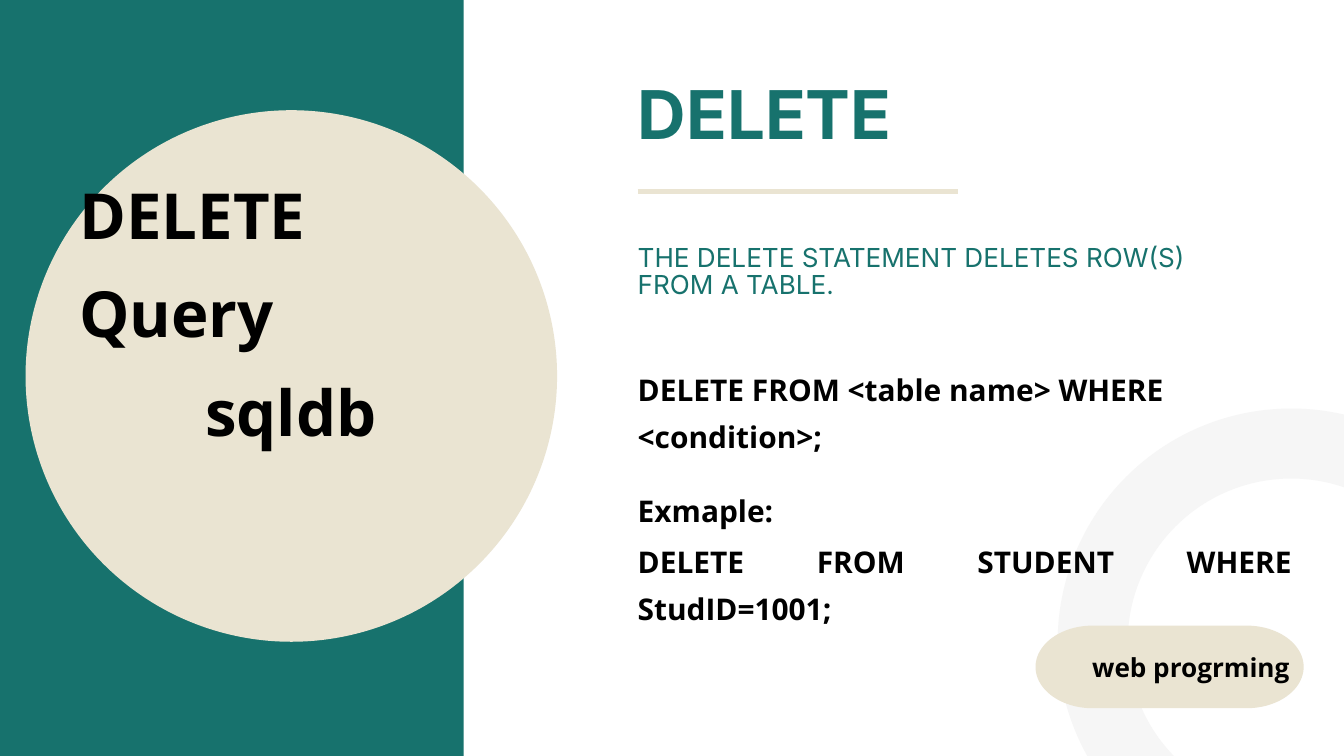
"""Build a slide that explains the DELETE statement."""
import math
from dataclasses import dataclass
from typing import Optional

from lxml import etree
from pptx import Presentation
from pptx.dml.color import RGBColor
from pptx.enum import shapes, text
from pptx.oxml import ns
from pptx.util import Inches, Pt


@dataclass(frozen=True)
class Theme:
    """Colours, fonts and type sizes of the slide."""
    teal: str = "17726D"
    sand: str = "EAE4D2"
    mist: str = "F6F6F6"
    black: str = "000000"
    display: str = "Inter"
    body: str = "Open Sans"
    title: int = 72
    hero: int = 68
    code: int = 32
    note: int = 28


THEME = Theme()
COLUMN = 9.49


@dataclass(frozen=True)
class Frame:
    """Left, top, width and height in inches."""
    left: float
    top: float
    width: float
    height: float

    def lengths(self) -> tuple:
        """Return the four measures as lengths."""
        return tuple(Inches(n) for n in (self.left, self.top, self.width, self.height))


@dataclass(frozen=True)
class Style:
    """Look of a block of text."""
    size: int
    leading: float
    font: str = THEME.body
    colour: str = THEME.black
    bold: bool = True


@dataclass(frozen=True)
class Block:
    """Lines of text in a frame, with one alignment for each line."""
    frame: Frame
    words: str
    style: Style
    aligns: tuple = (text.PP_ALIGN.LEFT,)
    inset: float = 0
    anchor: text.MSO_ANCHOR = text.MSO_ANCHOR.TOP


LEFT, CENTER, JUSTIFY = text.PP_ALIGN.LEFT, text.PP_ALIGN.CENTER, text.PP_ALIGN.JUSTIFY
CODE = Style(THEME.code, 49.6)
TITLE = Block(Frame(COLUMN, 1.23, 8.93, 1.11), "DELETE",
              Style(THEME.title, 75.6, THEME.display, THEME.teal))
SUMMARY = Block(Frame(COLUMN, 3.65, 8.93, 1.25),
                "THE DELETE STATEMENT DELETES ROW(S) FROM A TABLE.",
                Style(THEME.note, 29.4, THEME.display, THEME.teal, False))
HERO = Block(Frame(1.12, 0.16, 6.42, 8.65), "DELETE Query\nsqldb",
             Style(THEME.hero, 105.4), (LEFT, CENTER), 0.06, text.MSO_ANCHOR.MIDDLE)
BLOCKS = (
    Block(Frame(14.89, 9.56, 5.66, 0.56), "web progrming", Style(THEME.note, 43.4), (CENTER,)),
    HERO,
    Block(Frame(COLUMN, 5.38, 8.23, 1.33), "DELETE FROM <table name> WHERE <condition>;", CODE),
    Block(Frame(COLUMN, 7.17, 9.74, 0.65), "Exmaple:", CODE, (JUSTIFY,)),
    Block(Frame(COLUMN, 7.94, 9.74, 0.65), "DELETE FROM STUDENT WHERE StudID=1001;",
          CODE, (JUSTIFY,)),
)


def write(box, block: Block) -> None:
    """Place a text shape and fill it with formatted lines."""
    box.left, box.top, box.width, box.height = block.frame.lengths()
    frame, style = box.text_frame, block.style
    frame.text = block.words
    frame.word_wrap = True
    frame.auto_size = text.MSO_AUTO_SIZE.NONE
    frame.vertical_anchor = block.anchor
    frame.margin_left = frame.margin_right = Inches(block.inset)
    frame.margin_top = frame.margin_bottom = Inches(block.inset)
    for para, align in zip(frame.paragraphs, block.aligns):
        para.alignment = align
        para.line_spacing = Pt(style.leading)
        para.space_before = Pt(0)
        for span in para.runs:
            span.font.size = Pt(style.size)
            span.font.name = style.font
            span.font.bold = style.bold
            span.font.color.rgb = RGBColor.from_string(style.colour)


def remove_bullets(box) -> None:
    """Turn off bullets and hanging indents."""
    for para in box.text_frame.paragraphs:
        props = para._p.get_or_add_pPr()
        props.set("marL", "0")
        props.set("indent", "0")
        etree.SubElement(props, ns.qn("a:buNone"))


def paint(shape, fill: Optional[str] = None, line: Optional[str] = None, weight: float = 0) -> None:
    """Give a shape a plain fill and outline."""
    shape.shadow.inherit = False
    if fill:
        shape.fill.solid()
        shape.fill.fore_color.rgb = RGBColor.from_string(fill)
    else:
        shape.fill.background()
    if line:
        shape.line.color.rgb = RGBColor.from_string(line)
        shape.line.width = Pt(weight)
    else:
        shape.line.fill.background()


def add_pill(page, frame: Frame, end: float, fill: str) -> None:
    """Draw a bar with half-ellipse ends of the given depth."""
    steps, half = 48, frame.height / 2
    middle = frame.top + half
    points = []
    for centre, start in ((frame.left + frame.width - end, -90), (frame.left + end, 90)):
        for step in range(steps + 1):
            angle = math.radians(start + 180 * step / steps)
            points.append((Inches(centre + end * math.cos(angle)),
                           Inches(middle + half * math.sin(angle))))
    builder = page.shapes.build_freeform(*points[0])
    builder.add_line_segments(points[1:], close=True)
    paint(builder.convert_to_shape(), fill)


def add_rule(page, left: float, right: float, top: float) -> None:
    """Draw the line under the title."""
    rule = page.shapes.add_connector(shapes.MSO_CONNECTOR.STRAIGHT, Inches(left), Inches(top),
                                     Inches(right), Inches(top))
    rule.line.color.rgb = RGBColor.from_string(THEME.sand)
    rule.line.width = Pt(6)
    etree.SubElement(rule._element.spPr, ns.qn("a:effectLst"))


def main() -> None:
    """Build and save the deck."""
    deck = Presentation()
    deck.slide_width, deck.slide_height = Inches(20), Inches(11.25)
    page = deck.slides.add_slide(deck.slide_layouts[1])
    write(page.shapes.title, TITLE)
    write(page.placeholders[1], SUMMARY)
    remove_bullets(page.placeholders[1])

    kind = shapes.MSO_SHAPE
    panel = page.shapes.add_shape(kind.RECTANGLE, *Frame(0, 0, 6.9, 11.25).lengths())
    paint(panel, THEME.teal)
    add_rule(page, COLUMN, 14.25, 2.85)
    ring = page.shapes.add_shape(kind.OVAL, *Frame(16.26, 6.6, 5.91, 5.91).lengths())
    paint(ring, line=THEME.mist, weight=75)
    add_pill(page, Frame(15.41, 9.31, 3.99, 1.23), 0.85, THEME.sand)
    disc = page.shapes.add_shape(kind.OVAL, *Frame(0.38, 1.64, 7.91, 7.91).lengths())
    paint(disc, THEME.sand)
    for block in BLOCKS:
        write(page.shapes.add_textbox(*block.frame.lengths()), block)
    deck.save("out.pptx")


if __name__ == "__main__":
    main()
